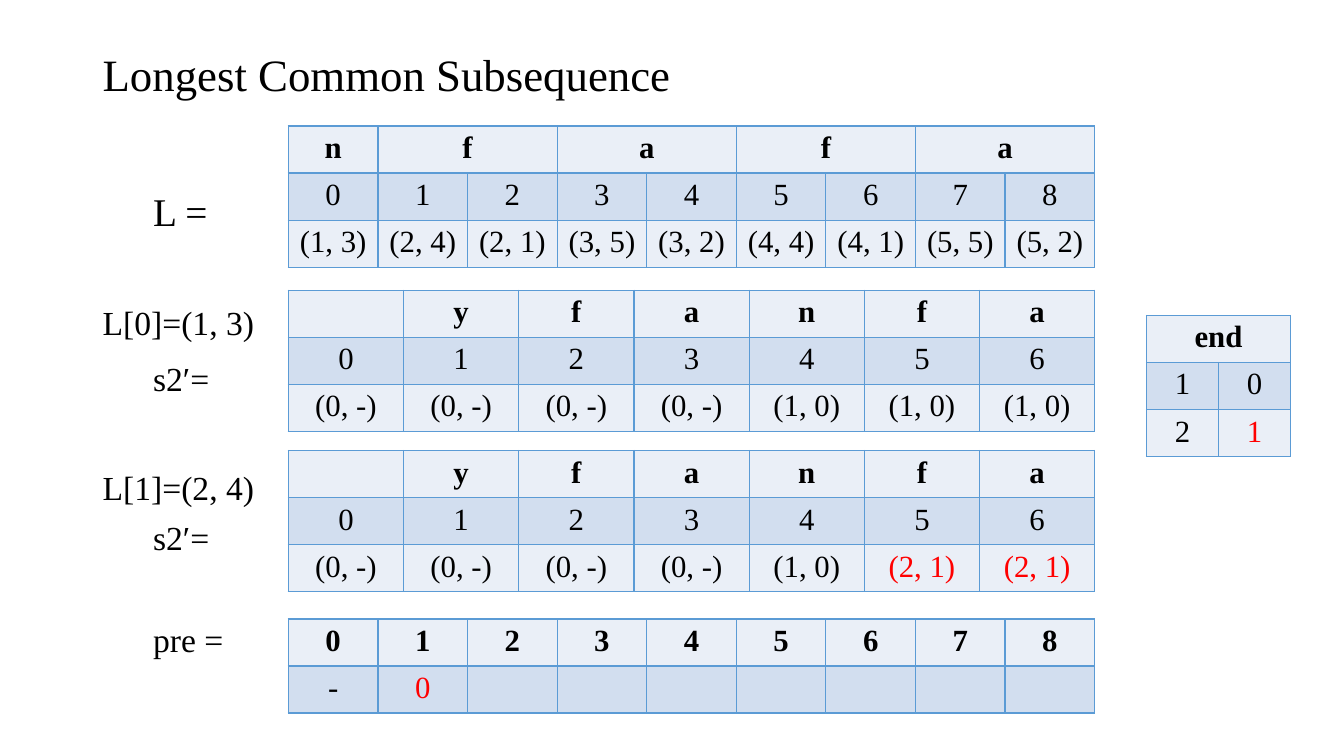
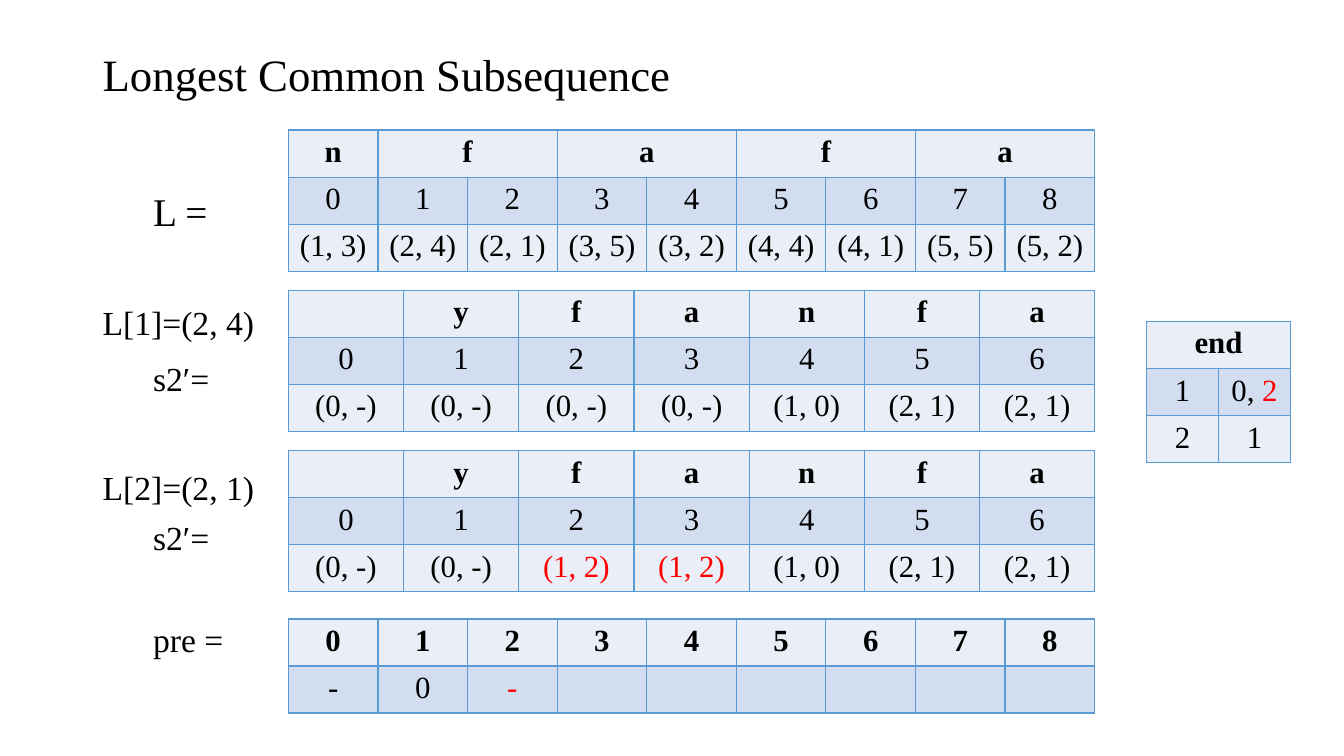
"""Build two slides that trace a longest common subsequence search step by step."""
from dataclasses import dataclass
from typing import Any, Optional

from lxml import etree
from pptx import Presentation
from pptx.dml.color import RGBColor
from pptx.enum.text import MSO_ANCHOR, PP_ALIGN
from pptx.oxml.ns import qn
from pptx.util import Inches, Length, Pt

CENTER = PP_ALIGN.CENTER
MIDDLE = MSO_ANCHOR.MIDDLE
TOP = MSO_ANCHOR.TOP
EDGES = ("a:lnL", "a:lnR", "a:lnT", "a:lnB")
Row = list[Optional[str]]


@dataclass(frozen=True)
class Theme:
    font: str = "Times New Roman"
    ink: str = "000000"
    accent: str = "FF0000"
    border: str = "5B9BD5"
    bands: tuple[str, str] = ("EAEFF7", "D2DEEF")
    title: int = 32
    symbol: int = 28
    label: int = 24
    cell: int = 22
    border_width: Length = Pt(1)
    line_spacing: float = 0.9


@dataclass(frozen=True)
class Line:
    text: str
    size: int
    before: int = 0
    indent: float = 0


@dataclass(frozen=True)
class Grid:
    left: float
    top: float
    width: float
    row_height: float
    rows: list[Row]


@dataclass(frozen=True)
class Step:
    index: int
    pairs_top: float
    end_top: float
    before: Row
    after: Row
    end: list[Row]
    pre: Row


THEME = Theme()
TABLE_LEFT, TABLE_WIDTH = 2.86, 8
PAIRS = ["(1, 3)", "(2, 4)", "(2, 1)", "(3, 5)", "(3, 2)",
         "(4, 4)", "(4, 1)", "(5, 5)", "(5, 2)"]
STEPS = [
    Step(0, 1.25, 3.13,
         ["(0, -)"] * 4 + ["(1, 0)"] * 3,
         ["(0, -)"] * 4 + ["(1, 0)", "|(2, 1)", "|(2, 1)"],
         [["1", "0"], ["2", "|1"]],
         ["-", "|0"]),
    Step(1, 1.29, 3.19,
         ["(0, -)"] * 4 + ["(1, 0)", "(2, 1)", "(2, 1)"],
         ["(0, -)"] * 2 + ["|(1, 2)"] * 2 + ["(1, 0)", "(2, 1)", "(2, 1)"],
         [["1", "0, |2"], ["2", "1"]],
         ["-", "0", "|-"]),
]


def numbers(count: int) -> Row:
    """Return the indices below count as text."""
    return [str(i) for i in range(count)]


def add_run(p: Any, text: str, size: int, color: str, bold: bool = False) -> None:
    """Append one formatted run to a paragraph."""
    r = p.add_run()
    r.text = text
    fmt = {"name": THEME.font, "size": Pt(size), "bold": bold}
    for key, value in fmt.items():
        setattr(r.font, key, value)
    r.font.color.rgb = RGBColor.from_string(color)


def add_text(s: Any, box: tuple[float, float, float, float],
             lines: list[Line], anchor: Any) -> None:
    """Add a text box with one paragraph for each line."""
    tf = s.shapes.add_textbox(*map(Inches, box)).text_frame
    tf.word_wrap = True
    tf.vertical_anchor = anchor
    for i, line in enumerate(lines):
        p = tf.add_paragraph() if i else tf.paragraphs[0]
        p._p.get_or_add_pPr().set("marL", str(Inches(line.indent)))
        fmt = {"line_spacing": THEME.line_spacing, "space_before": Pt(line.before)}
        for key, value in fmt.items():
            setattr(p, key, value)
        add_run(p, line.text, line.size, THEME.ink)


def add_borders(cell: Any) -> None:
    """Draw a thin line on all four edges of a cell."""
    tc_pr = cell._tc.get_or_add_tcPr()
    for edge in EDGES:
        ln = etree.SubElement(tc_pr, qn(edge), w=str(THEME.border_width))
        fill = etree.SubElement(ln, qn("a:solidFill"))
        etree.SubElement(fill, qn("a:srgbClr"), val=THEME.border)


def fill_cell(cell: Any, text: str, row: int) -> None:
    """Style a cell and write its text, with the part after a bar in accent."""
    add_borders(cell)
    cell.fill.solid()
    cell.fill.fore_color.rgb = RGBColor.from_string(THEME.bands[row % 2])
    p = cell.text_frame.paragraphs[0]
    p.alignment = CENTER
    plain, _, marked = text.partition("|")
    for part, color in ((plain, THEME.ink), (marked, THEME.accent)):
        if part:
            add_run(p, part, THEME.cell, color, bold=row == 0)


def add_grid(s: Any, grid: Grid) -> None:
    """Add a table in which None continues the cell on its left."""
    n_rows, n_cols = len(grid.rows), len(grid.rows[0])
    box = (grid.left, grid.top, grid.width, grid.row_height * n_rows)
    table = s.shapes.add_table(n_rows, n_cols, *map(Inches, box)).table
    table.first_row = table.horz_banding = False
    for col in table.columns:
        col.width = Inches(grid.width / n_cols)
    for i, row in enumerate(grid.rows):
        table.rows[i].height = Inches(grid.row_height)
        for j, text in enumerate(row):
            fill_cell(table.cell(i, j), text or "", i)
            if text is None:
                table.cell(i, j - 1).merge(table.cell(i, j))


def build_slide(prs: Any, step: Step) -> None:
    """Add the slide for one step of the search."""
    s = prs.slides.add_slide(prs.slide_layouts[6])
    add_text(s, (0.92, 0.4, 11.5, 0.73),
             [Line("Longest Common Subsequence", THEME.title)], MIDDLE)
    names = [f"L[{i}]={PAIRS[i]}" for i in (step.index, step.index + 1)]
    add_text(s, (0.92, 1.86, 1.9, 4.8), [
        Line("L =", THEME.symbol, indent=0.5),
        Line(names[0], THEME.label, 51),
        Line("s2′=", THEME.label, 14, 0.5),
        Line(names[1], THEME.label, 52),
        Line("s2′=", THEME.label, 10, 0.5),
        Line("pre =", THEME.label, 47, 0.5),
    ], TOP)
    letters: Row = ["n", "f", None, "a", None, "f", None, "a", None]
    add_grid(s, Grid(TABLE_LEFT, step.pairs_top, TABLE_WIDTH, 0.45,
                     [letters, numbers(9), list(PAIRS)]))
    for top, states in ((2.88, step.before), (4.47, step.after)):
        add_grid(s, Grid(TABLE_LEFT, top, TABLE_WIDTH, 0.43,
                         [["", *"yfanfa"], numbers(7), states]))
    pre = step.pre + [""] * (9 - len(step.pre))
    add_grid(s, Grid(TABLE_LEFT, 6.14, TABLE_WIDTH, 0.43, [numbers(9), pre]))
    add_grid(s, Grid(11.37, step.end_top, 1.43, 0.43, [["end", None], *step.end]))


def main() -> None:
    """Build and save the presentation."""
    prs = Presentation()
    prs.slide_width, prs.slide_height = Inches(13.33), Inches(7.5)
    for step in STEPS:
        build_slide(prs, step)
    prs.save("out.pptx")


if __name__ == "__main__":
    main()
